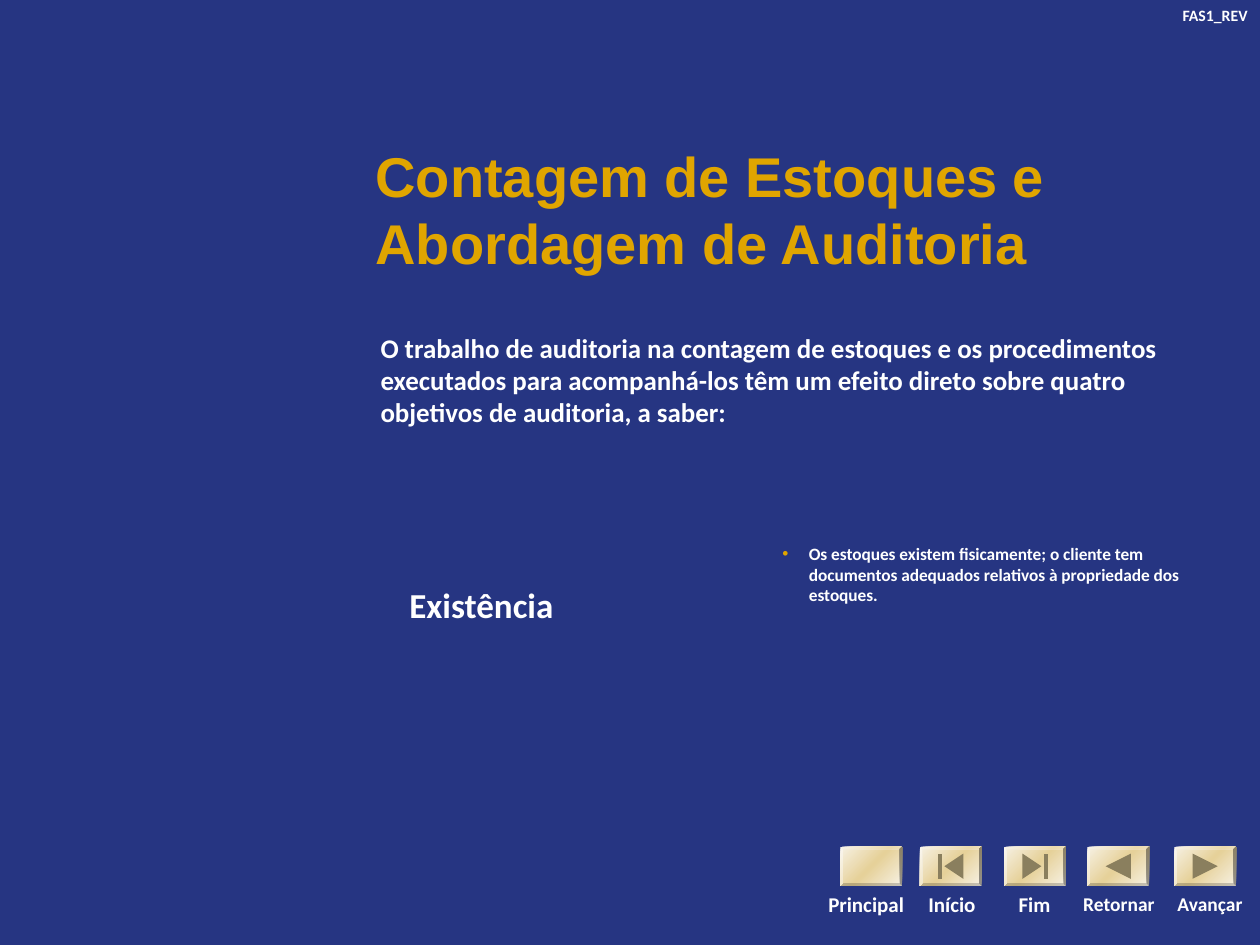
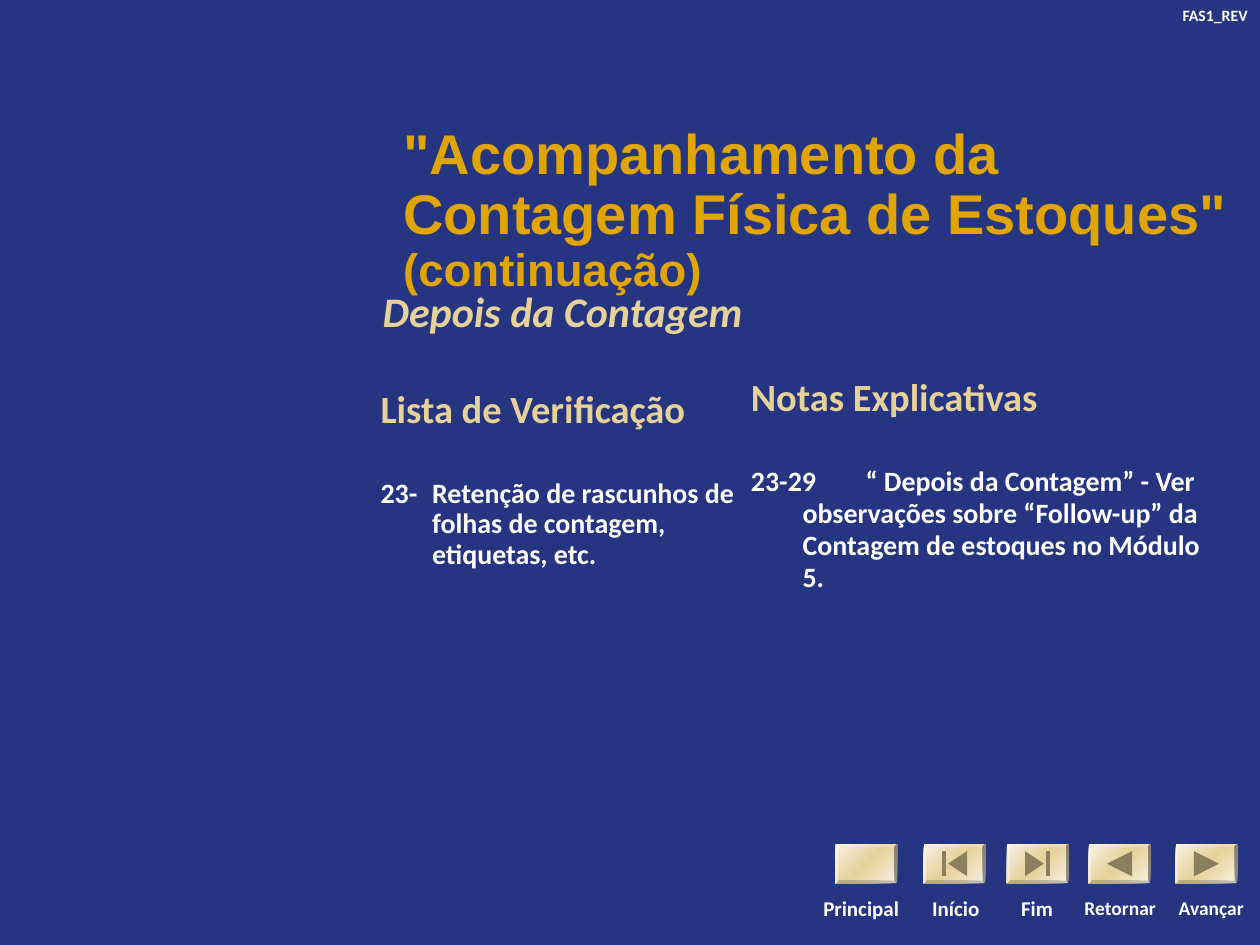
from copy import deepcopy

from lxml import etree
from pptx import Presentation
from pptx.dml.color import RGBColor
from pptx.enum.shapes import MSO_SHAPE
from pptx.enum.text import MSO_ANCHOR, MSO_AUTO_SIZE, PP_ALIGN
from pptx.oxml.ns import qn
from pptx.util import Inches, Pt

LEFT, CENTER, RIGHT = PP_ALIGN.LEFT, PP_ALIGN.CENTER, PP_ALIGN.RIGHT
TOP, MIDDLE = MSO_ANCHOR.TOP, MSO_ANCHOR.MIDDLE
NO_AUTOFIT = MSO_AUTO_SIZE.NONE
BEVEL = MSO_SHAPE.BEVEL

COLORS = {
    "background": "263582",
    "title": "E0A500",
    "heading": "E6D199",
    "text": "FFFFFF",
    "button_light": "F7F2E5",
    "button_mid": "E6D199",
    "icon": "8A7F5E",
}
TITLE_FONT, TEXT_FONT = "Arial", "Calibri"
BUTTON_WIDTH, BUTTON_HEIGHT = 0.49, 0.31
BUTTON_STOPS = [(0, "button_light"), (0.5, "button_mid"), (1, "button_light")]

ARROW = [[(-0.1, -0.1), (0.1, 0), (-0.1, 0.1)]]
ARROW_TO_BAR = [
    [(-0.1, -0.1), (0.05, 0), (-0.1, 0.1)],
    [(0.07, -0.1), (0.1, -0.1), (0.1, 0.1), (0.07, 0.1)],
]
BUTTONS = [
    ("Principal", 12, CENTER, -0.41, 1.23, [], 1),
    ("Início", 12, CENTER, -0.09, 0.69, ARROW_TO_BAR, -1),
    ("Fim", 12, CENTER, -0.02, 0.52, ARROW_TO_BAR, 1),
    ("Retornar", 11.1, CENTER, -0.2, 0.9, ARROW, -1),
    ("Avançar", 11.1, RIGHT, -0.21, 0.85, ARROW, 1),
]


def place(shape, left, top, width, height, anchor=TOP):
    shape.left, shape.top = Inches(left), Inches(top)
    shape.width, shape.height = Inches(width), Inches(height)
    frame = shape.text_frame
    frame.auto_size = NO_AUTOFIT
    frame.word_wrap = True
    frame.vertical_anchor = anchor
    return frame


def write(paragraph, text, size, color="text", font=TEXT_FONT, alignment=LEFT,
          spacing=1, before=0, hanging=0, bullet=None):
    paragraph.text = text
    paragraph.alignment = alignment
    paragraph.line_spacing = spacing
    paragraph.space_before = Pt(before)
    properties = paragraph._p.get_or_add_pPr()
    properties.set("marL", str(Inches(hanging)))
    properties.set("indent", str(-Inches(hanging)))
    if bullet:
        bullet_color = etree.SubElement(properties, qn("a:buClr"))
        etree.SubElement(bullet_color, qn("a:srgbClr"), val=COLORS["title"])
        etree.SubElement(properties, qn("a:buChar"), char=bullet)
    else:
        etree.SubElement(properties, qn("a:buNone"))
    for run in paragraph.runs:
        run.font.name = font
        run.font.size = Pt(size)
        run.font.bold = True
        run.font.color.rgb = RGBColor.from_string(COLORS[color])


presentation = Presentation()
presentation.slide_width, presentation.slide_height = Inches(10), Inches(7.5)
background = presentation.slide_master.background.fill
background.solid()
background.fore_color.rgb = RGBColor.from_string(COLORS["background"])
two_content = presentation.slide_layouts[3]

objectives = presentation.slides.add_slide(two_content)
frame = place(objectives.shapes.title, 2.88, 1.03, 7.12, 1.25, MIDDLE)
write(frame.paragraphs[0], "Contagem de Estoques e Abordagem de Auditoria",
      32, "title", TITLE_FONT)

frame = place(objectives.placeholders[1], 2.92, 2.58, 6.88, 1.03)
write(frame.paragraphs[0],
      "O trabalho de auditoria na contagem de estoques e os procedimentos "
      "executados para acompanhá-los têm um efeito direto sobre quatro "
      "objetivos de auditoria, a saber:", 15.4)

objective = objectives.shapes.add_textbox(0, 0, 0, 0)
frame = place(objective, 3.15, 4.58, 2.2, 0.48)
write(frame.paragraphs[0], "Existência", 20)

frame = place(objectives.placeholders[2], 6.11, 4.26, 3.67, 0.84)
write(frame.paragraphs[0],
      "Os estoques existem fisicamente; o cliente tem documentos adequados "
      "relativos à propriedade dos estoques.", 9.9, hanging=0.21, bullet="•")

checklist = presentation.slides.add_slide(two_content)
frame = place(checklist.shapes.title, 3.1, 1.05, 6.9, 1.25, MIDDLE)
title = frame.paragraphs[0]
write(title, '"Acompanhamento da Contagem Física de Estoques" ',
      32, "title", TITLE_FONT, spacing=0.9)
continuation = title.add_run()
continuation.text = "(continuação)"
continuation.font.name = TITLE_FONT
continuation.font.size = Pt(26)
continuation.font.bold = True
continuation.font.color.rgb = RGBColor.from_string(COLORS["title"])

columns = [
    (1, 2.92, 3.05, 3.03, 0.9, 0.9, "Lista de Verificação",
     "23-\tRetenção de rascunhos de folhas de contagem, etiquetas, etc."),
    (2, 5.86, 2.98, 3.92, 0.8, 0.95, "Notas Explicativas",
     "23-29\t“ Depois da Contagem” - Ver observações sobre “Follow-up” da "
     "Contagem de estoques no Módulo 5."),
]
for index, left, top, width, heading_spacing, item_spacing, heading, item in columns:
    frame = place(checklist.placeholders[index], left, top, width, 3.6)
    write(frame.paragraphs[0], heading, 22, "heading", spacing=heading_spacing)
    paragraph = frame.add_paragraph()
    write(paragraph, item, 16, spacing=item_spacing, before=27, hanging=0.41)
tabs = etree.SubElement(paragraph._p.get_or_add_pPr(), qn("a:tabLst"))
etree.SubElement(tabs, qn("a:tab"), pos=str(Inches(0.62)), algn="l")

subtitle = checklist.shapes.add_textbox(0, 0, 0, 0)
frame = place(subtitle, 2.74, 2.26, 3.45, 0.46, MIDDLE)
write(frame.paragraphs[0], "Depois da Contagem", 24, "heading",
      alignment=CENTER, spacing=0.9)
frame.paragraphs[0].runs[0].font.italic = True

navigation = [
    (objectives, 6.72, 7.03, [6.67, 7.3, 7.97, 8.63, 9.32]),
    (checklist, 6.7, 7.06, [6.63, 7.33, 7.99, 8.64, 9.33]),
]
for slide, button_top, label_top, lefts in navigation:
    code = slide.shapes.add_textbox(0, 0, 0, 0)
    frame = place(code, 9.08, 0, 0.92, 0.25)
    write(frame.paragraphs[0], "FAS1_REV", 9, alignment=RIGHT)

    for left, button in zip(lefts, BUTTONS):
        name, size, alignment, label_offset, label_width, icon, direction = button
        shape = slide.shapes.add_shape(
            BEVEL, Inches(left), Inches(button_top),
            Inches(BUTTON_WIDTH), Inches(BUTTON_HEIGHT))
        shape.shadow.inherit = False
        shape.adjustments[0] = 0.06
        shape.line.fill.background()
        shape.fill.gradient()
        shape.fill.gradient_angle = 315
        stop_list = shape._element.spPr.find(".//" + qn("a:gsLst"))
        stop_list.append(deepcopy(stop_list[0]))
        for stop, (position, color) in zip(shape.fill.gradient_stops, BUTTON_STOPS):
            stop.position = position
            stop.color.rgb = RGBColor.from_string(COLORS[color])

        center_x = left + BUTTON_WIDTH / 2
        center_y = button_top + BUTTON_HEIGHT / 2
        for outline in icon:
            points = [(Inches(center_x + direction * x), Inches(center_y + y))
                      for x, y in outline]
            builder = slide.shapes.build_freeform(*points[0])
            builder.add_line_segments(points[1:])
            symbol = builder.convert_to_shape()
            symbol.shadow.inherit = False
            symbol.fill.solid()
            symbol.fill.fore_color.rgb = RGBColor.from_string(COLORS["icon"])
            symbol.line.fill.background()

        label = slide.shapes.add_textbox(0, 0, 0, 0)
        frame = place(label, left + label_offset, label_top, label_width, 0.33)
        write(frame.paragraphs[0], name, size, alignment=alignment)

presentation.save("out.pptx")
